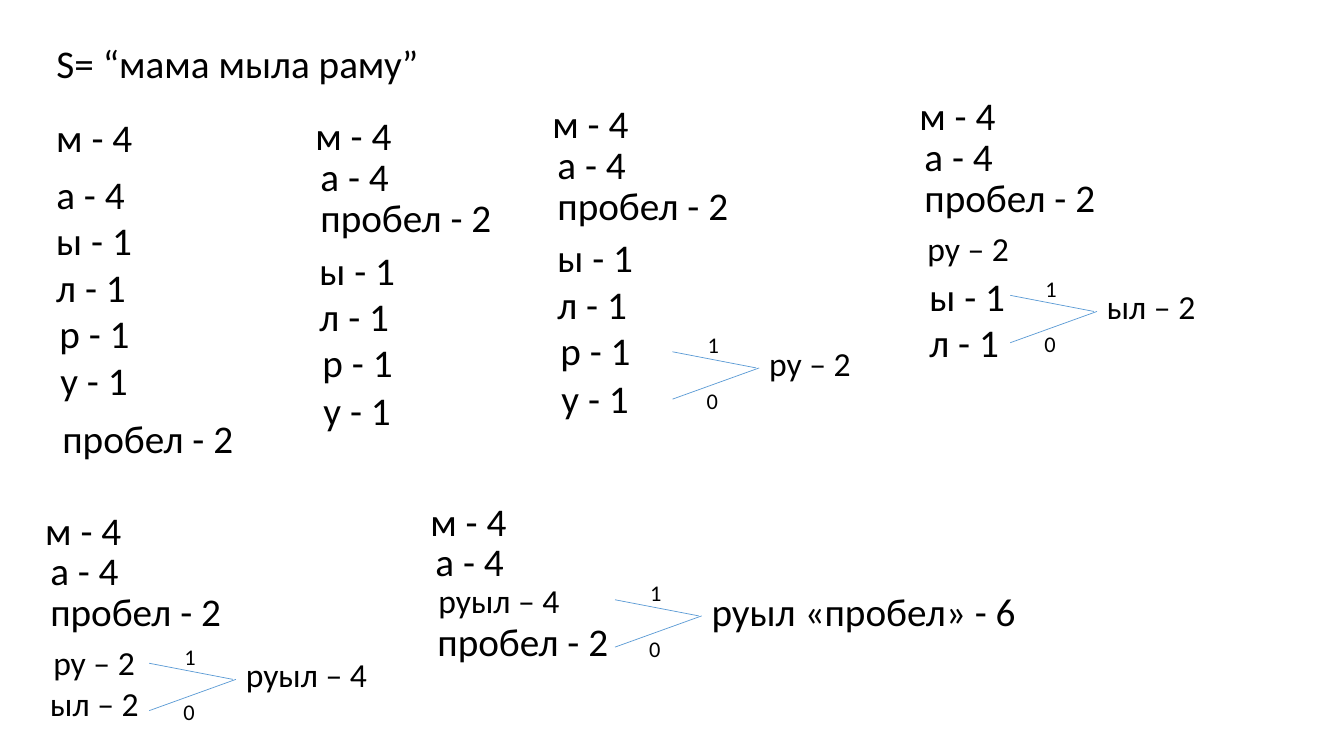
from pptx import Presentation
from pptx.dml.color import RGBColor
from pptx.enum.shapes import MSO_CONNECTOR
from pptx.enum.text import MSO_ANCHOR, MSO_AUTO_SIZE, PP_ALIGN
from pptx.oxml.ns import qn
from pptx.util import Inches, Pt
from lxml import etree

BLACK = RGBColor(0x00, 0x00, 0x00)
WHITE = RGBColor(0xFF, 0xFF, 0xFF)
BLUE = RGBColor(0x5B, 0x9B, 0xD5)

LARGE, MEDIUM, SMALL = 28, 24, 16
HEIGHTS = {LARGE: 0.57, MEDIUM: 0.5, SMALL: 0.37}
WIDTHS = {
    "м - 4": 0.97, "а - 4": 0.89, "пробел - 2": 1.92,
    "ы - 1": 0.96, "л - 1": 0.9, "р - 1": 0.91, "у - 1": 0.88,
    "ру – 2": 1.09, "ыл – 2": 1.16, "руыл – 4": 1.49,
    "руыл «пробел» - 6": 3.25, "1": 0.32, "0": 0.32,
}
FREQUENT = [("м - 4", 0, 0), ("а - 4", 0.05, 0.4), ("пробел - 2", 0.05, 0.81)]
SINGLE = [("ы - 1", 0, 0), ("л - 1", 0, 0.46), ("р - 1", 0.03, 0.92), ("у - 1", 0.04, 1.39)]


class HuffmanSlide:
    font = "Calibri"

    def __init__(self, presentation):
        self.slide = presentation.slides.add_slide(presentation.slide_layouts[5])
        fill = self.slide.background.fill
        fill.solid()
        fill.fore_color.rgb = WHITE

    def set_text(self, shape, text, size):
        frame = shape.text_frame
        frame.text = text
        frame.word_wrap = False
        frame.auto_size = MSO_AUTO_SIZE.SHAPE_TO_FIT_TEXT
        frame.vertical_anchor = MSO_ANCHOR.TOP
        paragraph = frame.paragraphs[0]
        paragraph.alignment = PP_ALIGN.LEFT
        font = paragraph.runs[0].font
        font.name, font.size = self.font, Pt(size)
        font.color.rgb = BLACK

    def title(self, text, x, y, width):
        shape = self.slide.shapes.title
        shape.left, shape.top = Inches(x), Inches(y)
        shape.width, shape.height = Inches(width), Inches(HEIGHTS[LARGE])
        self.set_text(shape, text, LARGE)

    def label(self, text, x, y, size=LARGE):
        box = self.slide.shapes.add_textbox(
            Inches(x), Inches(y), Inches(WIDTHS[text]), Inches(HEIGHTS[size]))
        self.set_text(box, text, size)

    def group(self, entries, x, y):
        for text, dx, dy in entries:
            self.label(text, x + dx, y + dy)

    def line(self, x1, y1, x2, y2):
        line = self.slide.shapes.add_connector(
            MSO_CONNECTOR.STRAIGHT, Inches(x1), Inches(y1), Inches(x2), Inches(y2))
        line.line.color.rgb = BLUE
        line.line.width = Pt(0.5)
        etree.SubElement(line._element.spPr, qn("a:effectLst"))

    def merge(self, result, x, y, size=MEDIUM):
        self.line(x, y, x + 0.83, y + 0.16)
        self.line(x, y + 0.47, x + 0.86, y + 0.16)
        self.label("1", x + 0.25, y - 0.25, SMALL)
        self.label("0", x + 0.24, y + 0.3, SMALL)
        self.label(result, x + 0.86, y + 0.11 - HEIGHTS[size] / 2, size)


presentation = Presentation()
presentation.slide_width = Inches(13.33)
presentation.slide_height = Inches(7.5)
slide = HuffmanSlide(presentation)

slide.title("S= “мама мыла раму”", 0.46, 0.34, 3.9)

slide.label("м - 4", 0.46, 1.08)
slide.label("а - 4", 0.46, 1.64)
slide.group(SINGLE, 0.46, 2.1)
slide.label("пробел - 2", 0.52, 4.06)

slide.group(FREQUENT, 3.03, 1.06)
slide.group(SINGLE, 3.07, 2.39)

slide.group(FREQUENT, 5.38, 0.94)
slide.group(SINGLE, 5.43, 2.27)
slide.merge("ру – 2", 6.67, 3.49)

slide.group(FREQUENT, 9.02, 0.86)
slide.label("ру – 2", 9.1, 2.21, MEDIUM)
slide.group(SINGLE[:2], 9.12, 2.65)
slide.merge("ыл – 2", 10.02, 2.93)

slide.group(FREQUENT, 0.35, 4.97)
slide.label("ру – 2", 0.43, 6.32, MEDIUM)
slide.label("ыл – 2", 0.4, 6.73, MEDIUM)
slide.merge("руыл – 4", 1.48, 6.58)

slide.group(FREQUENT[:2], 4.17, 4.88)
slide.label("руыл – 4", 4.25, 5.7, MEDIUM)
slide.label("пробел - 2", 4.24, 6.08)
slide.merge("руыл «пробел» - 6", 6.1, 5.95, LARGE)

presentation.save("out.pptx")
